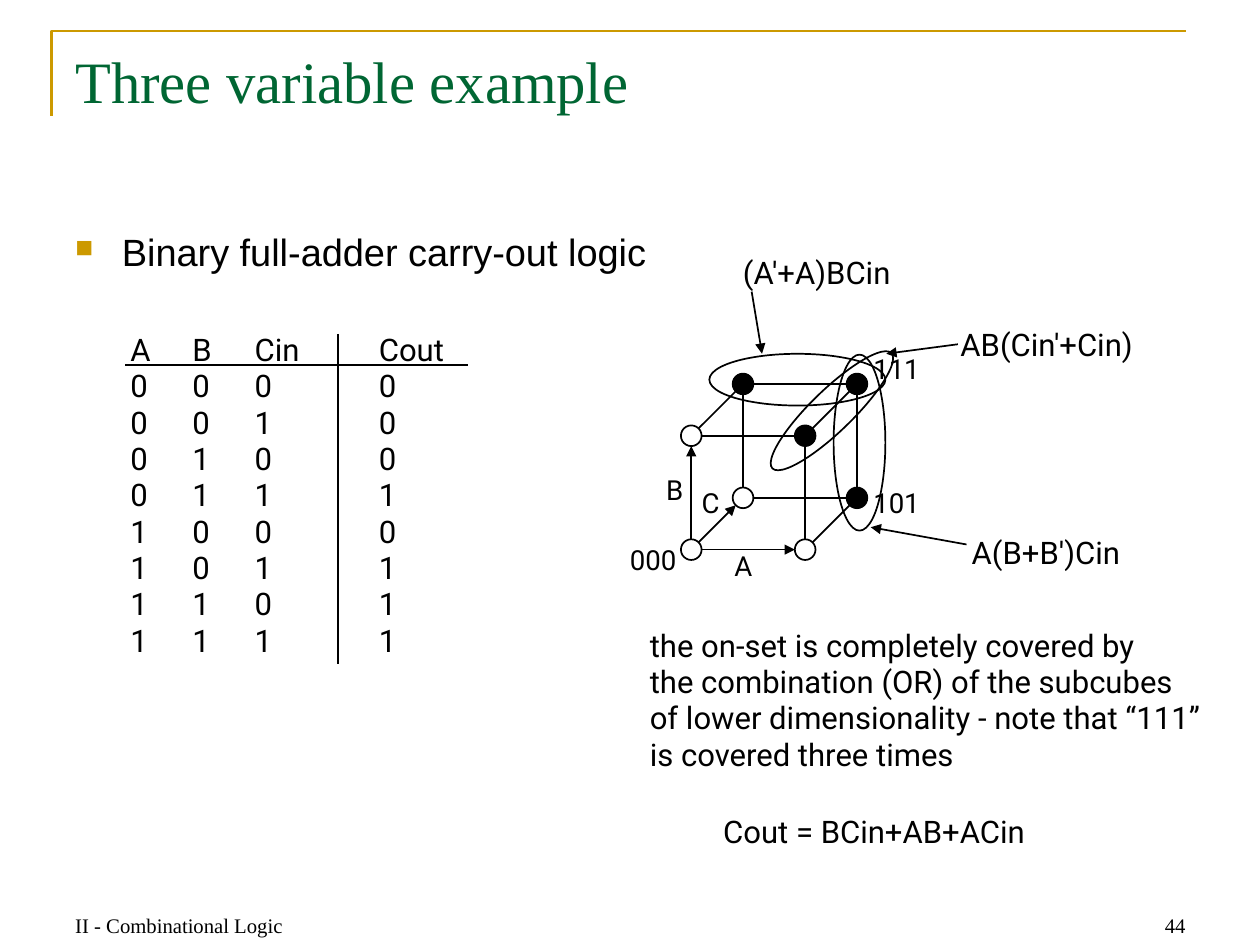
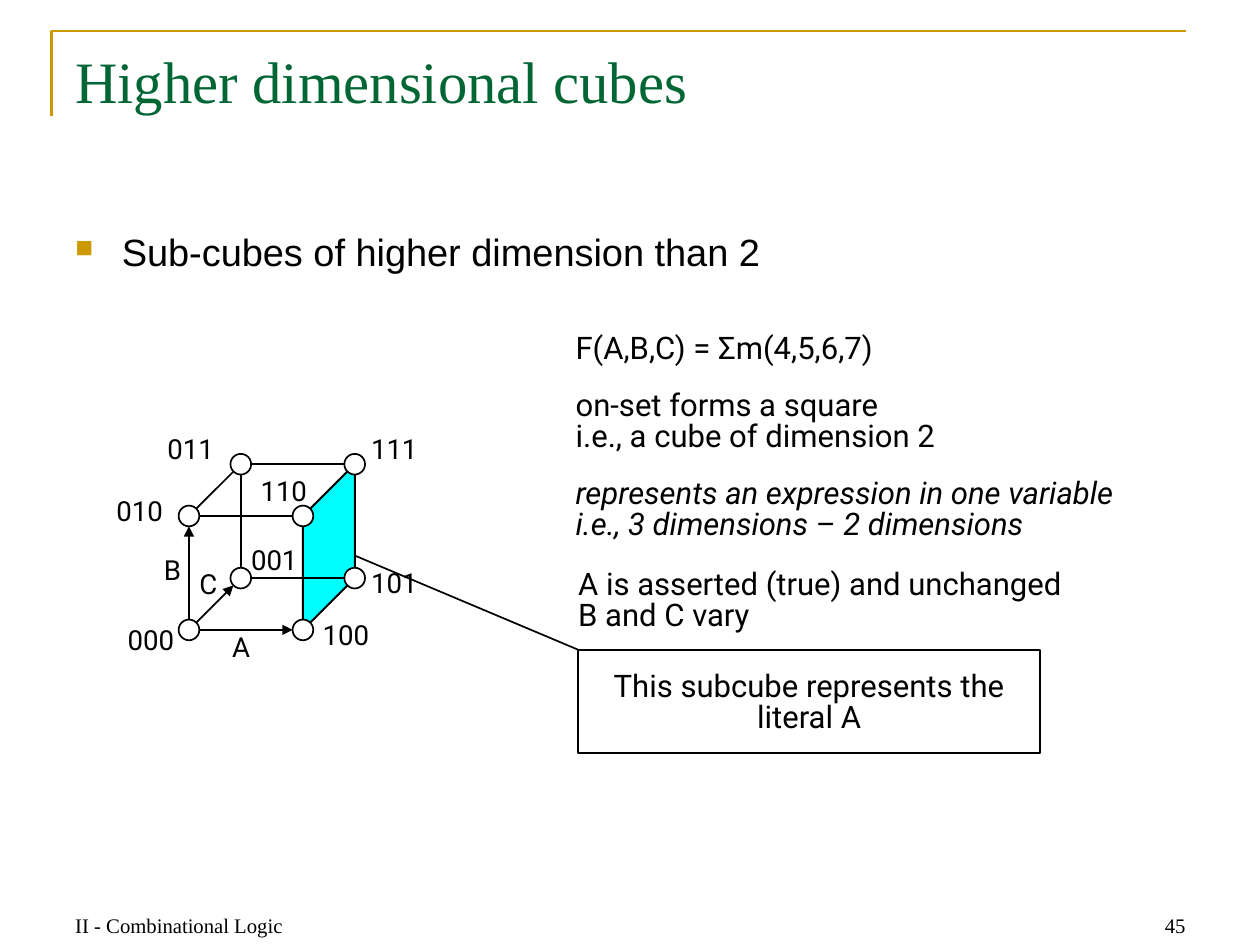
from dataclasses import dataclass, field
from itertools import combinations, product
from math import hypot
from typing import Any, NamedTuple, Optional

from lxml.etree import SubElement
from pptx import Presentation
from pptx.dml.color import RGBColor
from pptx.enum.shapes import MSO_CONNECTOR, MSO_SHAPE
from pptx.enum.text import MSO_ANCHOR, MSO_AUTO_SIZE, PP_ALIGN
from pptx.oxml.ns import qn
from pptx.util import Pt

COLORS = {
    "ink": "000000",
    "paper": "FFFFFF",
    "title": "006633",
    "accent": "CC9900",
    "face": "00FFFF",
}
FOOTER = "II - Combinational Logic"
NO_STYLE_NO_GRID = "{2D5ABB26-0587-4C30-8999-92F81FD0307C}"
EDGE, DEPTH, RADIUS = 66, 30, 6


class Point(NamedTuple):
    x: float
    y: float


class Box(NamedTuple):
    left: float
    top: float
    width: float
    height: float

    def lengths(self) -> list[Pt]:
        return [Pt(value) for value in self]


class Margins(NamedTuple):
    side: float
    end: float


@dataclass(frozen=True)
class TextStyle:
    font: dict[str, Any]
    paragraph: dict[str, Any] = field(default_factory=dict)
    color: str = "ink"
    margins: Margins = Margins(7.2, 3.6)
    anchor: MSO_ANCHOR = MSO_ANCHOR.TOP


@dataclass(frozen=True)
class TextItem:
    text: str
    box: Box


@dataclass(frozen=True)
class Oval:
    box: Box
    rotation: float = 0


def diagram_style(size: float, spacing: float, **paragraph: Any) -> TextStyle:
    return TextStyle({"name": "Roboto", "size": Pt(size)},
                     {"line_spacing": Pt(spacing), **paragraph}, margins=Margins(1.5, 2))


SERIF = {"name": "Times New Roman", "size": Pt(12)}
TITLE = TextStyle({**SERIF, "size": Pt(34)}, {"alignment": PP_ALIGN.LEFT}, "title")
BULLET = TextStyle({"name": "Arial", "size": Pt(22)})
FOOTER_LEFT = TextStyle(SERIF, anchor=MSO_ANCHOR.BOTTOM)
FOOTER_RIGHT = TextStyle(SERIF, {"alignment": PP_ALIGN.RIGHT}, anchor=MSO_ANCHOR.BOTTOM)
LABEL = diagram_style(16, 16)
NOTE = diagram_style(18, 21)
TIGHT_NOTE = diagram_style(18, 18)
CALLOUT = diagram_style(18, 18, alignment=PP_ALIGN.CENTER)

# Label positions are relative to the centre of corner 000.
AXIS_LABELS = {
    "A": Point(23.5, 1), "B": Point(-16, -43.5), "C": Point(4.5, -35.5),
    "000": Point(-37, -3), "111": Point(104, -113.5), "101": Point(104, -36),
}
ALL_LABELS = AXIS_LABELS | {
    "100": Point(76, -5.5), "001": Point(34.5, -49.5), "010": Point(-43.5, -77.5),
    "011": Point(-14, -113.5), "110": Point(40, -89),
}


def rgb(name: str) -> RGBColor:
    return RGBColor.from_string(COLORS[name])


def apply_format(target: Any, values: dict[str, Any]) -> None:
    for name, value in values.items():
        setattr(target, name, value)


def write_text(frame: Any, text: str, style: TextStyle, gap: float = 0,
               italic_last: bool = False) -> None:
    """Write paragraphs split at newlines; a vertical tab is a line break."""
    side, end = map(Pt, style.margins)
    apply_format(frame, {
        "word_wrap": True, "auto_size": MSO_AUTO_SIZE.NONE, "vertical_anchor": style.anchor,
        "margin_left": side, "margin_right": side, "margin_top": end, "margin_bottom": end,
    })
    frame.text = text
    for index, paragraph in enumerate(frame.paragraphs):
        apply_format(paragraph, style.paragraph)
        if index and gap:
            paragraph.space_before = Pt(gap)
        for run in paragraph.runs:
            apply_format(run.font, style.font)
            run.font.color.rgb = rgb(style.color)
    if italic_last:
        for run in frame.paragraphs[-1].runs:
            run.font.italic = True


def add_text(shapes: Any, text: str, box: Box, style: TextStyle, **options: Any) -> Any:
    shape = shapes.add_textbox(*box.lengths())
    write_text(shape.text_frame, text, style, **options)
    return shape


def add_outlined(shapes: Any, kind: MSO_SHAPE, box: Box, fill: Optional[str] = None,
                 rotation: float = 0) -> Any:
    shape = shapes.add_shape(kind, *box.lengths())
    shape.shadow.inherit = False
    shape.rotation = rotation
    if fill:
        shape.fill.solid()
        shape.fill.fore_color.rgb = rgb(fill)
    else:
        shape.fill.background()
    shape.line.color.rgb = rgb("ink")
    shape.line.width = Pt(1)
    return shape


def add_line(shapes: Any, start: Point, end: Point, arrow: bool = False) -> None:
    connector = shapes.add_connector(MSO_CONNECTOR.STRAIGHT, *map(Pt, (*start, *end)))
    connector.line.color.rgb = rgb("ink")
    connector.line.width = Pt(1)
    properties = connector._element.spPr
    if arrow:
        SubElement(properties.find(qn("a:ln")), qn("a:tailEnd"), type="triangle")
    SubElement(properties, qn("a:effectLst"))


def add_bullet(shapes: Any, text: str) -> None:
    shape = add_text(shapes, text, Box(36.5, 129, 656.5, 40), BULLET)
    properties = shape.text_frame.paragraphs[0]._p.get_or_add_pPr()
    properties.set("marL", str(Pt(27)))
    properties.set("indent", str(-Pt(27)))
    color = SubElement(properties, qn("a:buClr"))
    SubElement(color, qn("a:srgbClr"), val=COLORS["accent"])
    SubElement(properties, qn("a:buSzPct"), val="65000")
    SubElement(properties, qn("a:buChar"), char="■")


def add_base_slide(presentation: Any, title: str, bullet: str, number: int) -> Any:
    """Add a slide with the frame, title, bullet and footer that all slides share."""
    slide = presentation.slides.add_slide(presentation.slide_layouts[5])
    shapes = slide.shapes
    builder = shapes.build_freeform(30, 67, scale=Pt(1))
    builder.add_line_segments([(30, 18), (687, 18)], close=False)
    corner = builder.convert_to_shape()
    corner.shadow.inherit = False
    corner.fill.background()
    corner.line.color.rgb = rgb("accent")
    corner.line.width = Pt(1.5)

    position = dict(zip(("left", "top", "width", "height"),
                        Box(36.5, 22.5, 656.5, 90.5).lengths()))
    apply_format(shapes.title, position)
    write_text(shapes.title.text_frame, title, TITLE)
    add_bullet(shapes, bullet)
    add_text(shapes, FOOTER, Box(36.5, 510.5, 170.5, 36.5), FOOTER_LEFT)
    add_text(shapes, str(number), Box(523.5, 510.5, 170.5, 36.5), FOOTER_RIGHT)
    return slide


def corner_center(origin: Point, code: str) -> Point:
    a, b, c = map(int, code)
    return Point(origin.x + EDGE * a + DEPTH * c, origin.y - EDGE * b - DEPTH * c)


def toward(start: Point, end: Point) -> Point:
    """Return the point on the circle around start that faces end."""
    dx, dy = end.x - start.x, end.y - start.y
    ratio = RADIUS / hypot(dx, dy)
    return Point(start.x + dx * ratio, start.y + dy * ratio)


def add_cube(slide: Any, origin: Point, labels: dict[str, Point],
             on_set: frozenset[str] = frozenset(), shade_face: bool = False) -> None:
    shapes = slide.shapes.add_group_shape().shapes
    if shade_face:
        length = EDGE + DEPTH
        middle = Point(origin.x + EDGE + DEPTH / 2, origin.y - length / 2)
        box = Box(middle.x - length / 2, middle.y - DEPTH / 2, length, DEPTH)
        face = add_outlined(shapes, MSO_SHAPE.PARALLELOGRAM, box, "face", 90)
        face.adjustments[0] = 1
        face._element.spPr.xfrm.set("flipV", "1")

    centers = {code: corner_center(origin, code) for code in map("".join, product("01", repeat=3))}
    for first, second in combinations(centers, 2):
        if sum(one != other for one, other in zip(first, second)) == 1:
            start, end = centers[first], centers[second]
            add_line(shapes, toward(start, end), toward(end, start), arrow=first == "000")
    for code, center in centers.items():
        box = Box(center.x - RADIUS, center.y - RADIUS, 2 * RADIUS, 2 * RADIUS)
        add_outlined(shapes, MSO_SHAPE.OVAL, box, "ink" if code in on_set else "paper")
    for text, offset in labels.items():
        add_text(shapes, text, Box(origin.x + offset.x, origin.y + offset.y, 50, 26), LABEL)


def add_truth_table(slide: Any) -> None:
    rows = [("A", "B", "Cin", "Cout")]
    rows += [(a, b, c, int(a + b + c >= 2)) for a, b, c in product((0, 1), repeat=3)]
    widths = (36, 36, 72, 72)
    row_height = 21
    box = Box(75.5, 193, sum(widths), row_height * len(rows))
    table = slide.shapes.add_table(len(rows), len(widths), *box.lengths()).table
    apply_format(table, {"first_row": False, "horz_banding": False})
    table._tbl.tblPr.find(qn("a:tableStyleId")).text = NO_STYLE_NO_GRID
    for column, width in zip(table.columns, widths):
        column.width = Pt(width)
    margins = dict.fromkeys(("margin_left", "margin_right", "margin_top", "margin_bottom"), 0)
    for row, values in zip(table.rows, rows):
        row.height = Pt(row_height)
        for cell, value in zip(row.cells, values):
            cell.fill.background()
            write_text(cell.text_frame, str(value), NOTE)
            apply_format(cell, margins)
    add_line(slide.shapes, Point(72.5, 211.5), Point(271, 211.5))
    add_line(slide.shapes, Point(196, 193.5), Point(196, 385))


def build_example(presentation: Any) -> None:
    slide = add_base_slide(presentation, "Three variable example",
                           "Binary full-adder carry-out logic", 44)
    add_truth_table(slide)
    notes = (
        TextItem("(A'+A)BCin", Box(429, 145.5, 128, 31)),
        TextItem("AB(Cin'+Cin)", Box(555, 187, 144, 31)),
        TextItem("A(B+B')Cin", Box(561.5, 307.5, 128, 31)),
        TextItem("the on-set is completely covered by\vthe combination (OR) of the subcubes\v"
                 "of lower dimensionality - note that “111”\vis covered three times",
                 Box(375, 361.5, 340, 88)),
        TextItem("Cout = BCin+AB+ACin", Box(417.5, 469.5, 226, 31)),
    )
    for note in notes:
        add_text(slide.shapes, note.text, note.box, NOTE)
    add_cube(slide, Point(400.5, 318.5), AXIS_LABELS, frozenset({"011", "101", "110", "111"}))
    subcubes = (
        Oval(Box(483, 205.5, 30, 102)),
        Oval(Box(447, 169, 30, 102), 270),
        Oval(Box(470, 190, 24, 96), 45.9),
    )
    for oval in subcubes:
        add_outlined(slide.shapes, MSO_SHAPE.OVAL, oval.box, rotation=oval.rotation)
    leaders = (
        (Point(435.5, 169), Point(441.5, 205)),
        (Point(555, 199.5), Point(513.5, 205)),
        (Point(560, 315.5), Point(504.5, 305.5)),
    )
    for start, end in leaders:
        add_line(slide.shapes, start, end, arrow=True)


def build_higher_cubes(presentation: Any) -> None:
    slide = add_base_slide(presentation, "Higher dimensional cubes",
                           "Sub-cubes of higher dimension than 2", 45)
    shapes = slide.shapes
    add_text(shapes, "F(A,B,C) = Σm(4,5,6,7)\n"
             "on-set forms a square\vi.e., a cube of dimension 2\n"
             "represents an expression in one variable\vi.e., 3 dimensions – 2 dimensions",
             Box(332, 192, 366, 130), TIGHT_NOTE, gap=15, italic_last=True)
    add_text(shapes, "A is asserted (true) and unchanged\nB and C vary",
             Box(333.5, 328.5, 310, 40), TIGHT_NOTE)
    callout = add_outlined(shapes, MSO_SHAPE.RECTANGLE, Box(335, 376.5, 267.5, 60))
    write_text(callout.text_frame, "This subcube represents the\nliteral A", CALLOUT)
    callout.text_frame.margin_top = Pt(13.5)
    add_line(shapes, Point(335, 376.5), Point(195, 317.5), arrow=True)
    add_cube(slide, Point(109.5, 365), ALL_LABELS, shade_face=True)


def main() -> None:
    presentation = Presentation()
    apply_format(presentation, {"slide_width": Pt(730), "slide_height": Pt(547)})
    build_example(presentation)
    build_higher_cubes(presentation)
    presentation.save("out.pptx")


if __name__ == "__main__":
    main()
